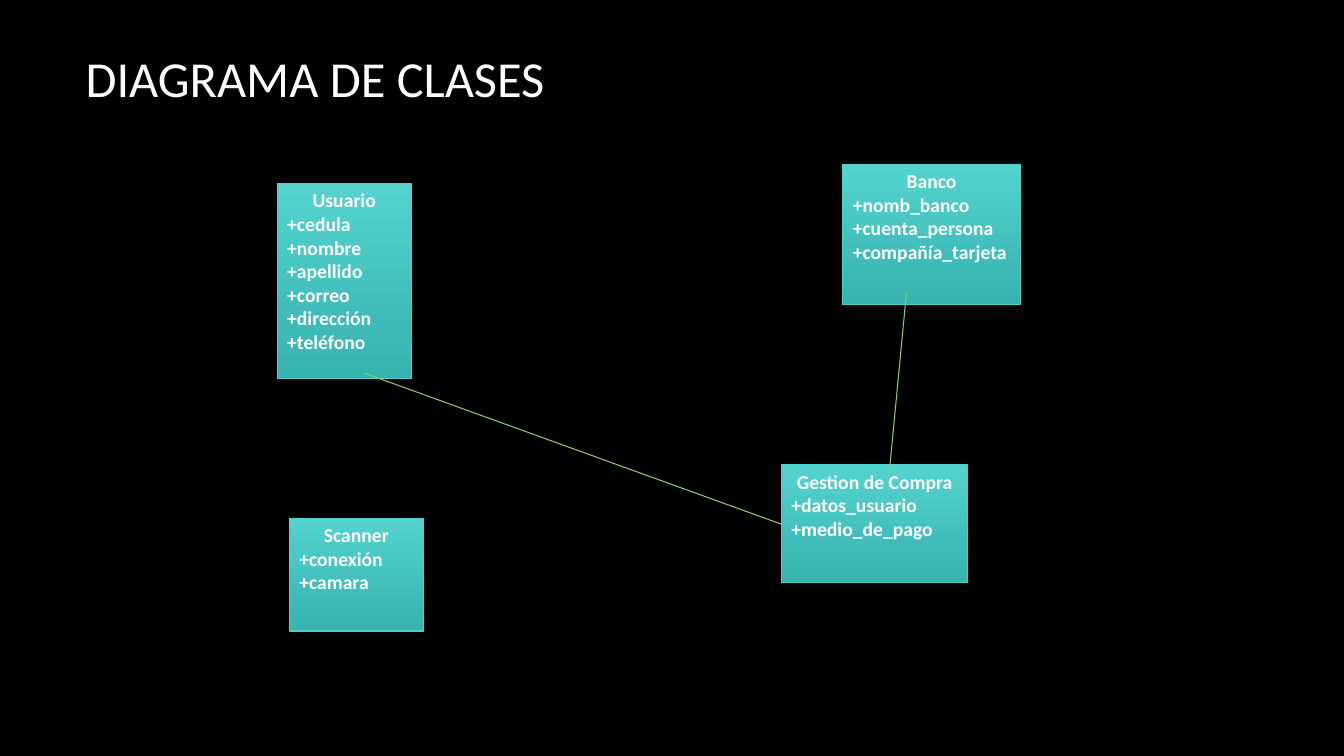
from pptx import Presentation
from pptx.dml.color import RGBColor
from pptx.enum.shapes import MSO_CONNECTOR, MSO_SHAPE
from pptx.enum.text import MSO_ANCHOR, PP_ALIGN
from pptx.oxml.ns import qn
from pptx.util import Inches, Pt
from lxml import etree

BLACK = RGBColor(0x00, 0x00, 0x00)
WHITE = RGBColor(0xFF, 0xFF, 0xFF)
TEAL_LIGHT = RGBColor(0x53, 0xD2, 0xCE)
TEAL_DARK = RGBColor(0x37, 0xB3, 0xB0)
TEAL_EDGE = RGBColor(0x49, 0xD1, 0xCD)
GREEN = RGBColor(0x94, 0xCE, 0x67)


def write(frame, lines, size, bold=False, anchor=MSO_ANCHOR.TOP, first_align=PP_ALIGN.LEFT):
    """Fill a text frame, one paragraph per line; only the first takes first_align."""
    frame.word_wrap = True
    frame.vertical_anchor = anchor
    for index, line in enumerate(lines):
        paragraph = frame.add_paragraph() if index else frame.paragraphs[0]
        paragraph.alignment = PP_ALIGN.LEFT if index else first_align
        run = paragraph.add_run()
        run.text = line
        run.font.name = "Calibri"
        run.font.size = Pt(size)
        run.font.bold = bold
        run.font.color.rgb = WHITE


prs = Presentation()
prs.slide_width, prs.slide_height = Inches(13.33), Inches(7.5)
slide = prs.slides.add_slide(prs.slide_layouts[6])
slide.background.fill.solid()
slide.background.fill.fore_color.rgb = BLACK

title = slide.shapes.add_textbox(Inches(0.75), Inches(-0.03), Inches(11.08), Inches(1.59))
write(title.text_frame, ["DIAGRAMA DE CLASES"], 36, anchor=MSO_ANCHOR.MIDDLE)

classes = [
    ("Usuario", ["cedula", "nombre", "apellido", "correo", "dirección", "teléfono"],
     (2.75, 1.82, 1.33, 1.94)),
    ("Banco", ["nomb_banco", "cuenta_persona", "compañía_tarjeta"], (8.36, 1.63, 1.76, 1.39)),
    ("Scanner", ["conexión", "camara"], (2.87, 5.14, 1.33, 1.12)),
    ("Gestion de Compra", ["datos_usuario", "medio_de_pago"], (7.75, 4.61, 1.85, 1.17)),
]
for class_name, attributes, bounds in classes:
    class_box = slide.shapes.add_shape(MSO_SHAPE.RECTANGLE, *map(Inches, bounds))
    class_box.shadow.inherit = False
    class_box.fill.gradient()
    class_box.fill.gradient_angle = 270
    for stop, color, position in zip(class_box.fill.gradient_stops, (TEAL_LIGHT, TEAL_DARK), (0, 1)):
        stop.color.rgb = color
        stop.position = position
    class_box.line.color.rgb = TEAL_EDGE
    class_box.line.width = Pt(0.75)
    write(class_box.text_frame, [class_name] + [f"+{name}" for name in attributes], 14,
          bold=True, first_align=PP_ALIGN.CENTER)

# Usuario to Gestion de Compra, then Gestion de Compra to Banco
for ends in [(3.61, 3.7, 7.75, 5.2), (8.82, 4.69, 8.99, 2.91)]:
    association = slide.shapes.add_connector(MSO_CONNECTOR.STRAIGHT, *map(Inches, ends))
    association.line.color.rgb = GREEN
    association.line.width = Pt(0.75)
    etree.SubElement(association._element.spPr, qn("a:effectLst"))

prs.save("out.pptx")
